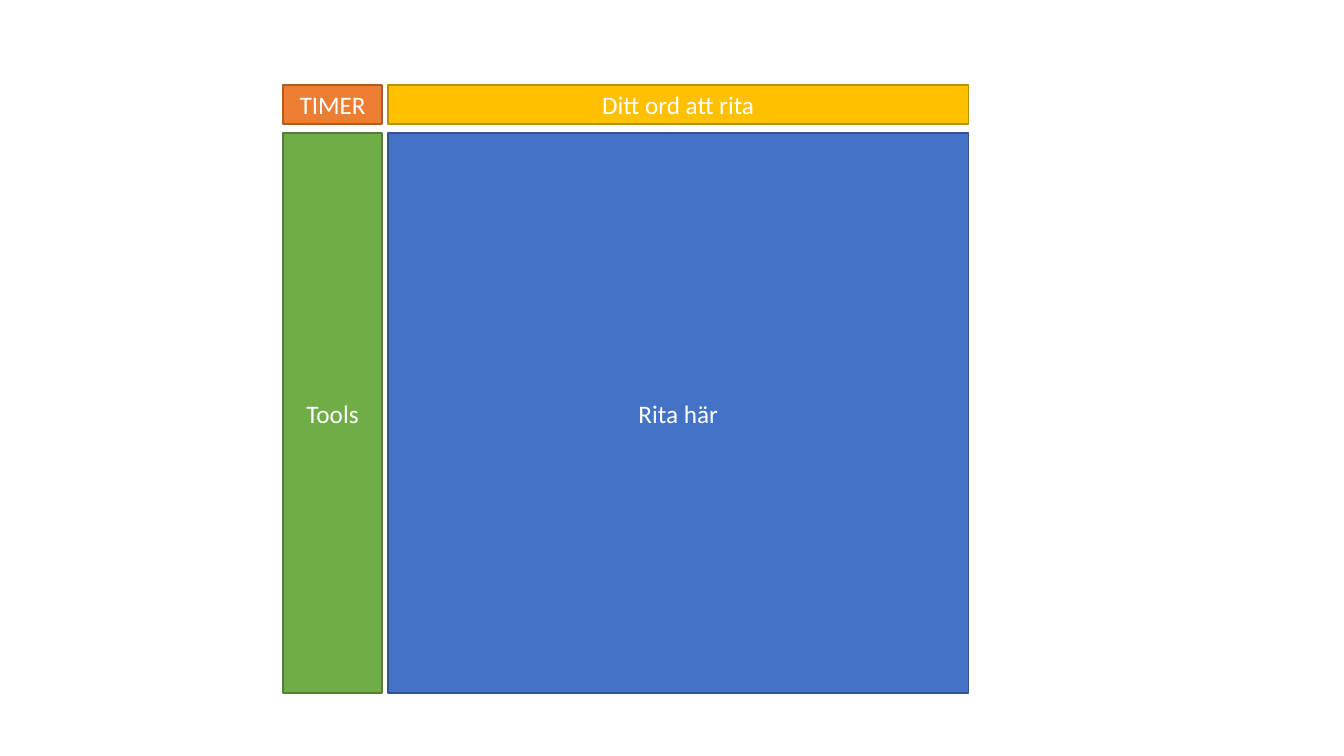
from pptx import Presentation
from pptx.dml.color import RGBColor
from pptx.enum.shapes import MSO_SHAPE
from pptx.enum.text import MSO_ANCHOR, PP_ALIGN
from pptx.util import Emu, Inches, Pt

PX = Inches(1) / 100.8

COLORS = {
    "canvas": "4472C4", "canvas_line": "325491",
    "tools": "70AD47", "tools_line": "538035",
    "word": "FFC000", "word_line": "BD8E00",
    "timer": "ED7D31", "timer_line": "AF5C24",
    "text": "FFFFFF",
}

# Grid tracks as (start, size) in pixels
SIDE_COL, MAIN_COL = (283, 99), (388, 580)
TOP_ROW, BODY_ROW = (85, 39), (133, 560)


def px(n):
    return Emu(round(n * PX))


def color(name):
    return RGBColor.from_string(COLORS[name])


def add_panel(s, name, text, col, row):
    (x, w), (y, h) = col, row
    sp = s.shapes.add_shape(MSO_SHAPE.RECTANGLE, px(x), px(y), px(w), px(h))
    sp.shadow.inherit = False
    sp.fill.solid()
    sp.fill.fore_color.rgb = color(name)
    sp.line.color.rgb = color(name + "_line")
    sp.line.width = Pt(1)

    # Centred label
    tf = sp.text_frame
    tf.word_wrap = True
    tf.vertical_anchor = MSO_ANCHOR.MIDDLE
    tf.text = text
    p = tf.paragraphs[0]
    p.alignment = PP_ALIGN.CENTER
    font = p.runs[0].font
    font.name, font.size = "Calibri", Pt(18)
    font.color.rgb = color("text")


def main():
    prs = Presentation()
    prs.slide_width, prs.slide_height = Inches(13.33), Inches(7.5)
    s = prs.slides.add_slide(prs.slide_layouts[6])

    # Drawing area and tools
    add_panel(s, "canvas", "Rita här", MAIN_COL, BODY_ROW)
    add_panel(s, "tools", "Tools", SIDE_COL, BODY_ROW)

    # Top bar
    add_panel(s, "word", "Ditt ord att rita", MAIN_COL, TOP_ROW)
    add_panel(s, "timer", "TIMER", SIDE_COL, TOP_ROW)

    prs.save("out.pptx")


main()
